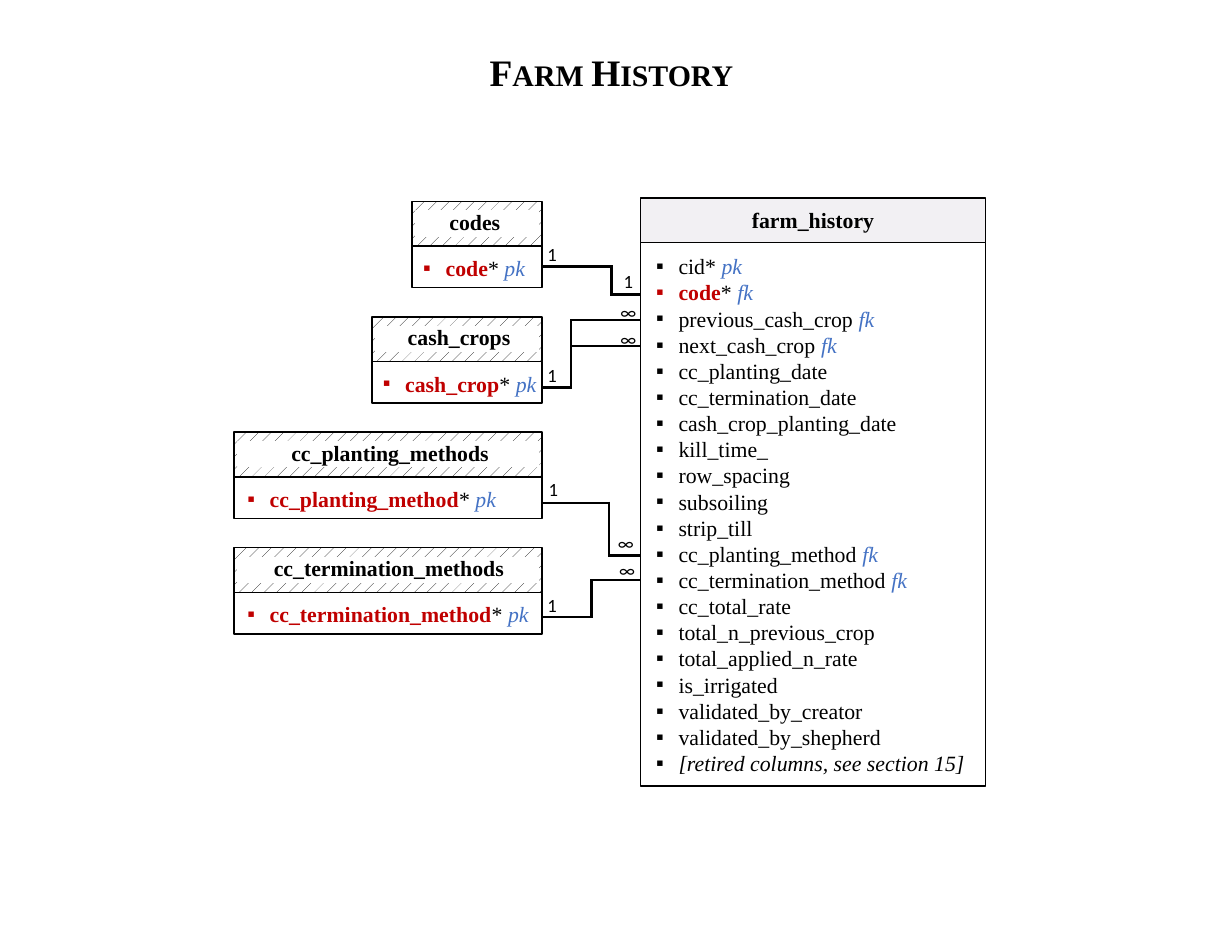
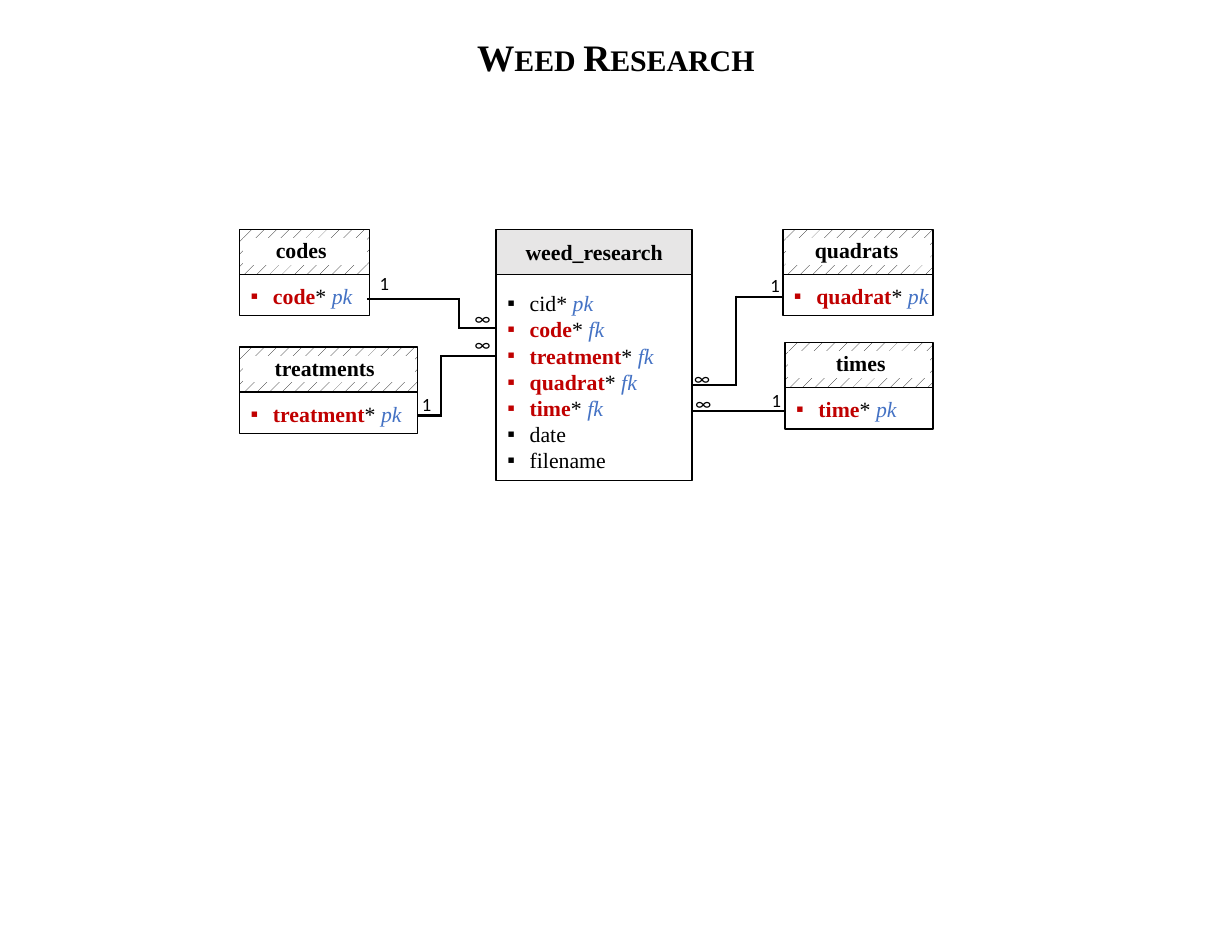
from itertools import pairwise

from lxml.etree import SubElement
from pptx import Presentation
from pptx.dml.color import RGBColor
from pptx.enum.dml import MSO_PATTERN as Pattern
from pptx.enum.shapes import MSO_CONNECTOR as Connector, MSO_SHAPE as Shape
from pptx.enum.text import PP_ALIGN as Align
from pptx.oxml.ns import qn
from pptx.util import Pt

BLACK, WHITE, RED, BLUE = "000000", "FFFFFF", "C00000", "4472C4"
SERIF, SANS = "Times New Roman", "Calibri"
HEAD_H, ROW_H, LINE_H = 28.8, 26.6, 24.5


def color(hex_code):
    return RGBColor.from_string(hex_code)


class Schema:
    """Style of the diagrams, and the slide being drawn."""

    def __init__(self):
        self.deck = Presentation()
        self.deck.slide_width, self.deck.slide_height = Pt(792), Pt(612)
        self.slide = None

    def new_slide(self, title, left, top, width):
        self.slide = self.deck.slides.add_slide(self.deck.slide_layouts[6])
        heading = self.text(title, left, top, width, 36, size=24, bold=True, align=Align.CENTER)
        heading.runs[0]._r.get_or_add_rPr().set("cap", "small")

    def box(self, left, top, width, height, fill=WHITE, line=BLACK, hatched=False):
        rect = self.slide.shapes.add_shape(
            Shape.RECTANGLE, Pt(left), Pt(top), Pt(width), Pt(height))
        rect.shadow.inherit = False
        if hatched:
            rect.fill.patterned()
            rect.fill.pattern = Pattern.PERCENT_10
            rect.fill.fore_color.rgb = color(BLACK)
            rect.fill.back_color.rgb = color(fill)
        else:
            rect.fill.solid()
            rect.fill.fore_color.rgb = color(fill)
        rect.line.color.rgb = color(line)
        rect.line.width = Pt(1)

    def frame(self, left, top, width, height, wrap=True):
        area = self.slide.shapes.add_textbox(Pt(left), Pt(top), Pt(width), Pt(height))
        area.text_frame.word_wrap = wrap
        return area.text_frame

    def font(self, paragraph, size, name):
        paragraph.font.size, paragraph.font.name = Pt(size), name

    def text(self, words, left, top, width, height, size=14, name=SERIF,
             bold=False, align=Align.LEFT, wrap=True):
        paragraph = self.frame(left, top, width, height, wrap).paragraphs[0]
        paragraph.alignment = align
        self.font(paragraph, size, name)
        paragraph.font.bold = bold
        paragraph.font.color.rgb = color(BLACK)
        paragraph.add_run().text = words
        return paragraph

    def run(self, paragraph, words, hex_code=BLACK, bold=False, italic=False):
        part = paragraph.add_run()
        part.text = words
        part.font.color.rgb = color(hex_code)
        part.font.bold, part.font.italic = bold, italic

    def fields(self, names, left, top, width, height):
        """Bulleted columns; shared keys are red, pk and fk tags blue."""
        frame = self.frame(left, top, width, height)
        for index, field in enumerate(names):
            paragraph = frame.add_paragraph() if index else frame.paragraphs[0]
            props = paragraph._p.get_or_add_pPr()
            props.set("marL", str(Pt(14.4)))
            props.set("indent", str(Pt(-14.4)))
            SubElement(props, qn("a:buFont")).set("typeface", "Arial")
            SubElement(props, qn("a:buChar")).set("char", "▪")
            self.font(paragraph, 14, SERIF)

            name, tag = field, ""
            if field.endswith((" pk", " fk")):
                name, tag = field[:-2], field[-2:]
            if name.endswith("* ") and name != "cid* ":
                self.run(paragraph, name[:-2], RED, bold=True)
                self.run(paragraph, "* ")
            else:
                self.run(paragraph, name, italic=name.startswith("["))
            if tag:
                self.run(paragraph, tag, BLUE, italic=True)

    def lookup(self, name, key, left, top, width, head_left, head_width, indent=0):
        """Small table with a hatched header and one key."""
        self.box(left, top, width, HEAD_H, hatched=True)
        self.box(left + 2.5, top + 6.2, width - 4.7, 16, line=WHITE)
        self.text(name, head_left, top + 1.2, head_width, LINE_H,
                  bold=True, align=Align.CENTER, wrap=False)
        self.box(left, top + HEAD_H, width, ROW_H)
        self.fields([f"{key}* pk"], left + indent, top + 30.8, width + 8, LINE_H)

    def entity(self, name, names, left, top, width, height, fill, list_left, list_top, list_width):
        """Main table with a plain header and all its columns."""
        body_top = top + HEAD_H
        self.box(left, body_top, width, height)
        self.box(left, top, width, HEAD_H, fill)
        self.text(name, left, top + 2.2, width, LINE_H, bold=True, align=Align.CENTER)
        self.fields(names, list_left, list_top, list_width, body_top + height - list_top)

    def line(self, start, end):
        wire = self.slide.shapes.add_connector(
            Connector.STRAIGHT, Pt(start[0]), Pt(start[1]), Pt(end[0]), Pt(end[1]))
        wire.line.color.rgb = color(BLACK)
        wire.line.width = Pt(1.5)
        SubElement(wire._element.spPr, qn("a:effectLst"))

    def elbow(self, left, left_y, bend, right, right_y):
        low, high = sorted((left_y, right_y))
        self.line((left, left_y), (bend, left_y))
        self.line((bend, low - 0.75), (bend, high + 0.75))
        self.line((bend, right_y), (right, right_y))

    def marks(self, symbol, places, width):
        for left, top in places:
            self.text(symbol, left, top, width, 21.6, size=12, name=SANS)


def farm_history(schema):
    schema.new_slide("Farm History", 11.5, 28.1, 763.2)
    schema.entity(
        "farm_history",
        ["cid* pk", "code* fk", "previous_cash_crop fk", "next_cash_crop fk",
         "cc_planting_date", "cc_termination_date", "cash_crop_planting_date",
         "kill_time_", "row_spacing", "subsoiling", "strip_till",
         "cc_planting_method fk", "cc_termination_method fk", "cc_total_rate",
         "total_n_previous_crop", "total_applied_n_rate", "is_irrigated",
         "validated_by_creator", "validated_by_shepherd",
         "[retired columns, see section 15]"],
        411.8, 127.2, 221.8, 349.5, "F2F0F3", 414.7, 159.1, 226.8)

    # Lookup tables, aligned on their right edge
    right, first_top, pitch = 348.5, 129.5, 74.2
    lookups = [
        ("codes", "code", 83.5, 276.5, 57.6, 0),
        ("cash_crops", "cash_crop", 109.5, 253.4, 83.5, 0),
        ("cc_planting_methods", "cc_planting_method", 198, 154.8, 192.2, 1.4),
        ("cc_termination_methods", "cc_termination_method", 198, 154, 192.2, 1.4),
    ]
    for index, (name, key, width, head_left, head_width, indent) in enumerate(lookups):
        schema.lookup(name, key, right - width, first_top + index * pitch, width,
                      head_left, head_width, indent)

    # Relations
    for left_y, bend, right_y in [(171.4, 393.1, 189.4), (249.1, 367, 205.9),
                                  (323.3, 391.7, 357.1), (396.7, 380.2, 373)]:
        schema.elbow(right, left_y, bend, 411.8, right_y)
    schema.line((367, 222.5), (411.8, 222.5))
    schema.marks("1", [(344.9, 152.6), (393.8, 169.9), (344.9, 230.4),
                       (345.6, 303.8), (344.9, 378)], 21.6)
    schema.marks("∞", [(391.7, 190.1), (391.7, 207.4), (390.2, 338.4), (391, 355.7)], 21.6)


def weed_research(schema):
    schema.new_slide("Weed Research", 8.6, 18.7, 774.7)
    schema.entity(
        "weed_research",
        ["cid* pk", "code* fk", "treatment* fk", "quadrat* fk", "time* fk", "date", "filename"],
        319, 147.6, 126, 132.5, "E7E6E6", 319, 182.9, 126)

    # Lookup tables on both sides
    for lookup in [
        ("codes", "code", 154, 147.6, 83.5, 164.9, 57.6),
        ("treatments", "treatment", 154, 223.2, 114.5, 169.2, 79.2),
        ("quadrats", "quadrat", 503.3, 147.6, 96.5, 514, 73.4),
        ("times", "time", 504.7, 220.3, 95, 517.7, 71.3),
    ]:
        schema.lookup(*lookup)

    # Relations
    schema.elbow(236, 192.2, 295.2, 319, 211)
    schema.elbow(268.6, 267.1, 283.7, 319, 229)
    schema.elbow(444.5, 247.7, 473, 503.3, 190.8)
    schema.line((444.5, 264.2), (504.7, 264.2))
    schema.marks("1", [(236.9, 171.4), (264.2, 249.1), (488.2, 172.8), (488.9, 246.2)], 30.2)
    schema.marks("∞", [(298.1, 193.7), (298.1, 210.2), (439.2, 232.6), (439.9, 248.4)], 28.1)


def main():
    schema = Schema()
    farm_history(schema)
    weed_research(schema)
    schema.deck.save("out.pptx")


if __name__ == "__main__":
    main()
